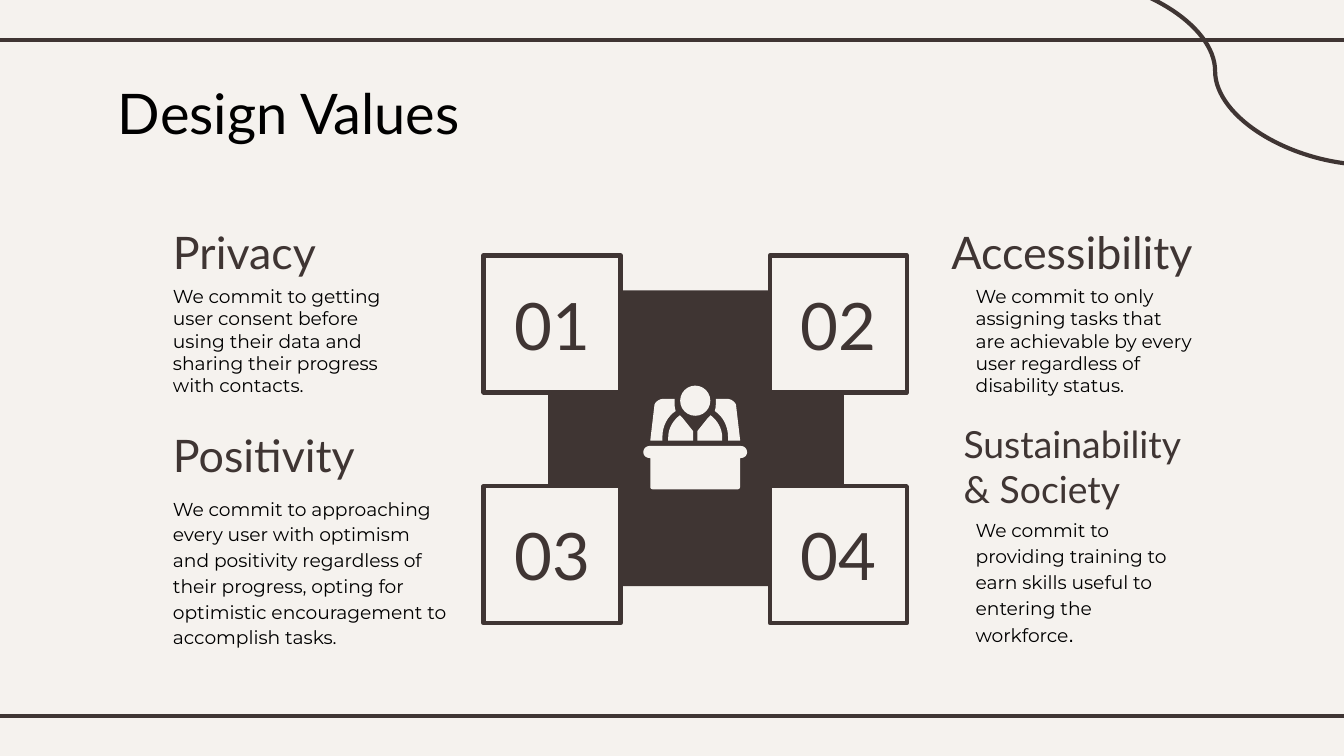
from dataclasses import dataclass

from lxml import etree
from pptx import Presentation
from pptx.dml.color import RGBColor
from pptx.enum.shapes import MSO_CONNECTOR, MSO_SHAPE
from pptx.enum.text import MSO_ANCHOR, PP_ALIGN
from pptx.oxml.ns import qn
from pptx.util import Cm, Pt

STRAIGHT, CURVE = MSO_CONNECTOR.STRAIGHT, MSO_CONNECTOR.CURVE
RECTANGLE, OVAL = MSO_SHAPE.RECTANGLE, MSO_SHAPE.OVAL
TOP, MIDDLE = MSO_ANCHOR.TOP, MSO_ANCHOR.MIDDLE
CENTER = PP_ALIGN.CENTER

CREAM, BROWN, BLACK = "F5F2EE", "3F3533", "000000"
HEADING_FONT, BODY_FONT = "Lato", "Montserrat"
RULE_WIDTH = Pt(2.25)
CARD_SIZE = 2.59
CARD_LEFTS, CARD_TOPS = (9.14, 14.55), (4.83, 9.19)
ICON_AXIS, ICON_TOP, HEAD_SIZE = 13.14, 7.29, 0.57
CURVE_STEPS = 8

Point = tuple[float, float]
Box = tuple[float, float, float, float]


@dataclass
class Label:
    text: str
    box: Box
    size: float
    font: str = HEADING_FONT
    color: str = BROWN
    anchor: MSO_ANCHOR = MIDDLE
    spacing: float = 1.0
    full_stop: bool = False


@dataclass
class Value:
    heading: Label
    commitment: Label


def body(text: str, box: Box, spacing: float = 1.0, full_stop: bool = False) -> Label:
    return Label(text, box, 10, BODY_FONT, BLACK, TOP, spacing, full_stop)


TITLE = Label("Design Values", (1.98, 1.24, 21.44, 1.6), 30, color=BLACK, anchor=TOP)
VALUES = [
    Value(
        Label("Privacy", (3.02, 4.19, 5.08, 0.99), 24, spacing=1.15),
        body("We commit to getting user consent before using their data and "
             "sharing their progress with contacts.", (3.02, 5.13, 4.62, 2.51)),
    ),
    Value(
        Label("Accessibility", (17.73, 4.19, 5.69, 0.99), 24, spacing=1.15),
        body("We commit to only assigning tasks that are achievable by every user "
             "regardless of disability status.", (18.19, 5.13, 4.62, 1.98)),
    ),
    Value(
        Label("Positivity", (3.02, 8.1, 5.08, 0.99), 24),
        body("We commit to approaching every user with optimism and positivity "
             "regardless of their progress, opting for optimistic encouragement "
             "to accomplish tasks.", (3.02, 9.09, 5.69, 4.78), 1.15),
    ),
    Value(
        Label("Sustainability & Society", (17.96, 8.13, 5.08, 1.37), 20),
        body("We commit to providing training to earn skills useful to entering "
             "the workforce", (18.19, 9.5, 4.62, 1.98), 1.15, True),
    ),
]


def rgb(color: str) -> RGBColor:
    return RGBColor.from_string(color)


def style_run(run, font: str, size: float, color: str) -> None:
    run.font.name = font
    run.font.size = Pt(size)
    run.font.color.rgb = rgb(color)


def draw_label(slide, label: Label) -> None:
    frame = slide.shapes.add_textbox(*map(Cm, label.box)).text_frame
    frame.word_wrap = True
    frame.vertical_anchor = label.anchor
    frame.margin_left = frame.margin_right = Cm(0.25)
    frame.margin_top = frame.margin_bottom = Cm(0.25)
    frame.text = label.text
    paragraph = frame.paragraphs[0]
    paragraph.line_spacing = label.spacing
    style_run(paragraph.runs[0], label.font, label.size, label.color)
    if label.full_stop:
        stop = paragraph.add_run()
        stop.text = "."
        style_run(stop, "Arial", 11, label.color)


def draw_rule(slide, kind: MSO_CONNECTOR, ends: Box) -> None:
    rule = slide.shapes.add_connector(kind, *map(Cm, ends))
    rule.line.color.rgb = rgb(BROWN)
    rule.line.width = RULE_WIDTH
    etree.SubElement(rule._element.spPr, qn("a:effectLst"))


def paint(shape, fill: str, outlined: bool = False) -> None:
    shape.shadow.inherit = False
    shape.fill.solid()
    shape.fill.fore_color.rgb = rgb(fill)
    if outlined:
        shape.line.color.rgb = rgb(BROWN)
        shape.line.width = RULE_WIDTH
    else:
        shape.line.fill.background()


def draw_card(slide, number: int, left: float, top: float) -> None:
    card = slide.shapes.add_shape(RECTANGLE, *map(Cm, (left, top, CARD_SIZE, CARD_SIZE)))
    paint(card, CREAM, outlined=True)
    frame = card.text_frame
    frame.margin_left = frame.margin_right = 0
    frame.vertical_anchor = MIDDLE
    frame.text = f"{number:02d}"
    frame.paragraphs[0].alignment = CENTER
    style_run(frame.paragraphs[0].runs[0], HEADING_FONT, 35, BROWN)


def bend(*controls: Point) -> list[Point]:
    points = []
    for step in range(CURVE_STEPS + 1):
        t = step / CURVE_STEPS
        weights = ((1 - t) ** 3, 3 * t * (1 - t) ** 2, 3 * t * t * (1 - t), t ** 3)
        points.append(tuple(
            sum(w * c[axis] for w, c in zip(weights, controls)) for axis in (0, 1)
        ))
    return points


def mirror(outline: list[Point]) -> list[Point]:
    return [(-x, y) for x, y in outline]


def draw_outline(slide, outline: list[Point]) -> None:
    points = [(Cm(ICON_AXIS + x), Cm(ICON_TOP + y)) for x, y in outline]
    builder = slide.shapes.build_freeform(*points[0])
    builder.add_line_segments(points[1:])
    paint(builder.convert_to_shape(), CREAM)


def draw_desk_worker(slide) -> None:
    head = (ICON_AXIS - HEAD_SIZE / 2, ICON_TOP, HEAD_SIZE, HEAD_SIZE)
    paint(slide.shapes.add_shape(OVAL, *map(Cm, head)), CREAM)
    chair = [
        (0.39, 0.25),
        *bend((0.39, 0.3), (0.39, 0.36), (0.39, 0.41), (0.37, 0.48)),
        *bend((0.37, 0.48), (0.52, 0.58), (0.62, 0.76), (0.62, 0.97)),
        (0.62, 1.04), (0.85, 1.04),
        *bend((0.77, 0.36), (0.75, 0.3), (0.67, 0.25), (0.6, 0.25)),
    ]
    shoulder = [
        (0.24, 0.61), (0.04, 0.86), (0.04, 1.04), (0.51, 1.04),
        *bend((0.51, 0.97), (0.51, 0.81), (0.42, 0.66), (0.29, 0.56)),
    ]
    desk = [
        *bend((0.85, 1.14), (0.93, 1.14), (0.98, 1.19), (0.98, 1.26)),
        *bend((0.98, 1.26), (0.98, 1.32), (0.93, 1.37), (0.85, 1.37)),
        *bend((0.85, 1.9), (0.85, 1.93), (0.84, 1.96), (0.8, 1.96)),
    ]
    for half in (chair, shoulder):
        draw_outline(slide, half)
        draw_outline(slide, mirror(half))
    draw_outline(slide, desk + mirror(desk)[::-1])


def main() -> None:
    deck = Presentation()
    deck.slide_width, deck.slide_height = Cm(25.4), Cm(14.29)
    slide = deck.slides.add_slide(deck.slide_layouts[6])
    slide.background.fill.solid()
    slide.background.fill.fore_color.rgb = rgb(CREAM)

    for height in (0.76, 13.54):
        draw_rule(slide, STRAIGHT, (-0.2, height, 25.6, height))
    draw_rule(slide, CURVE, (20.02, -0.43, 25.91, 3.12))

    draw_label(slide, TITLE)
    for value in VALUES:
        draw_label(slide, value.heading)
        draw_label(slide, value.commitment)

    hub = slide.shapes.add_shape(RECTANGLE, *map(Cm, (10.36, 5.49, 5.59, 5.59)))
    paint(hub, BROWN)
    draw_desk_worker(slide)
    corners = [(left, top) for top in CARD_TOPS for left in CARD_LEFTS]
    for number, (left, top) in enumerate(corners, start=1):
        draw_card(slide, number, left, top)

    deck.save("out.pptx")


if __name__ == "__main__":
    main()
